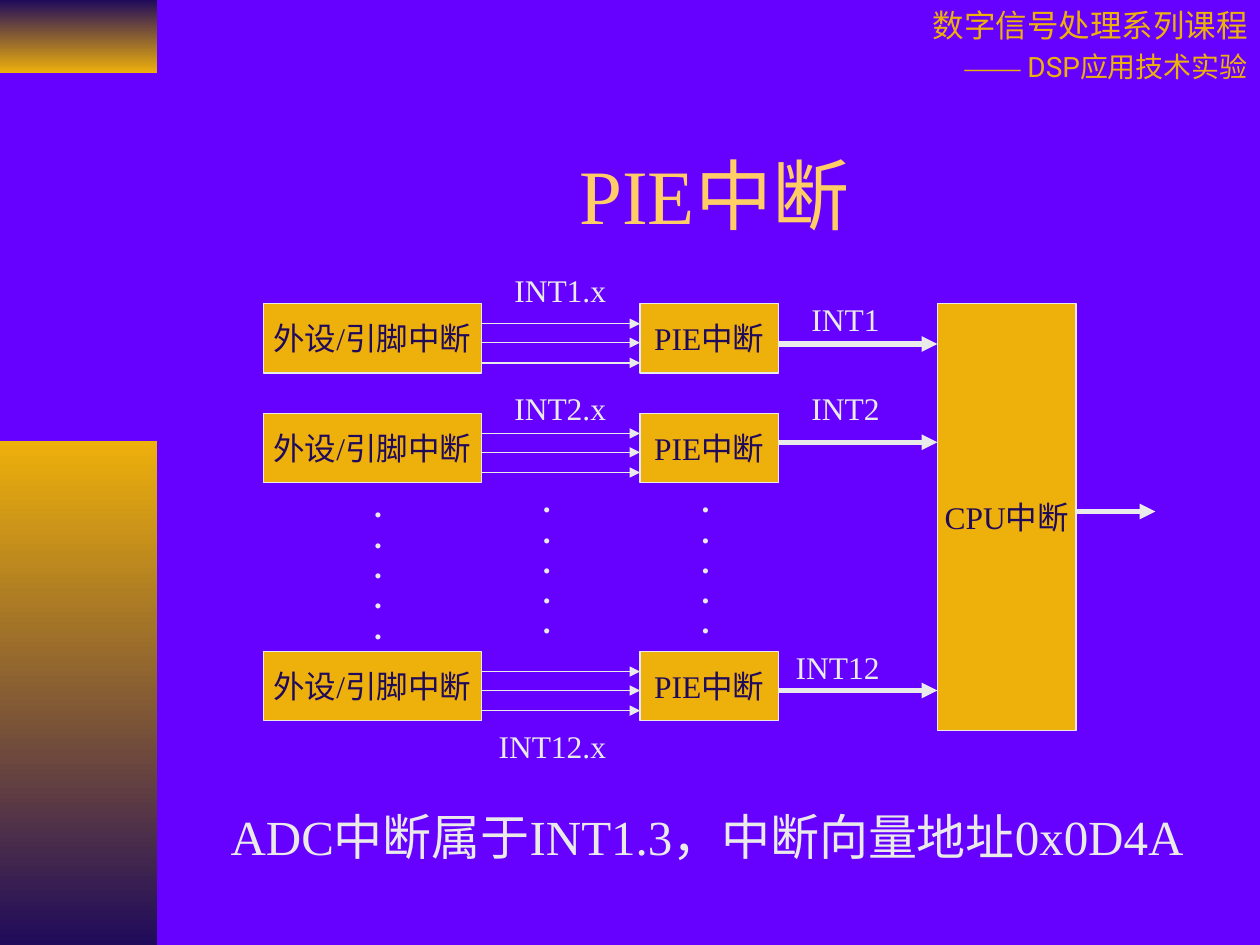
"""Build a slide showing how PIE interrupts reach the CPU."""
from lxml.etree import SubElement
from pptx import Presentation
from pptx.dml.color import RGBColor
from pptx.enum.shapes import MSO_CONNECTOR, MSO_SHAPE
from pptx.enum.text import MSO_ANCHOR, MSO_AUTO_SIZE, PP_ALIGN
from pptx.oxml.ns import qn
from pptx.util import Inches, Pt

COLORS = {"back": "6600FF", "gold": "EEB00B", "navy": "200B5B",
          "light": "EAEAEA", "title": "FFCC66"}
LATIN, HAN, SANS = "Times New Roman", "Noto Sans CJK SC", "Roboto"

BARS = [(0, 0.58, "navy", "gold"), (3.5, 4, "gold", "navy")]
HEADER = [
    [("数字信号处理系列课程", HAN, 18)],
    [("—— ", LATIN, 16), ("DSP", SANS, 16), ("应用技术实验", HAN, 16)],
]
TITLE = "PIE中断"
SOURCE, PIE, CPU = "外设/引脚中断", "PIE中断", "CPU中断"
NOTE = "ADC中断属于INT1.3，中断向量地址0x0D4A"
ROWS = [
    {"top": 2.41, "out": 2.73, "label": ("INT1", 6.34, 2.33, 0.74),
     "group": ("INT1.x", 3.98, 2.1, 0.93)},
    {"top": 3.28, "out": 3.51, "label": ("INT2", 6.34, 3.04, 0.74),
     "group": ("INT2.x", 3.98, 3.04, 0.93)},
    {"top": 5.17, "out": 5.48, "label": ("INT12", 6.21, 5.09, 0.87),
     "group": ("INT12.x", 3.85, 5.72, 1.06)},
]
DOTS = [(2.87, 3.87), (4.21, 3.83), (5.47, 3.83)]
TAPS = (0.16, 0.31, 0.47)
SRC_X, SRC_W = 2.09, 1.73
PIE_X, CPU_X, BOX_W, BOX_H = 5.08, 7.44, 1.1, 0.55


def color(name):
    return RGBColor.from_string(COLORS[name])


def write(shape, text, size=18, ink="light", align=PP_ALIGN.RIGHT, bold=None,
          font=LATIN, anchor=MSO_ANCHOR.TOP, wrap=False, grow=True,
          spacing=None, before=None):
    """Fill a shape with a string or with lists of (text, font, size) runs."""
    frame = shape.text_frame
    frame.word_wrap = wrap
    frame.vertical_anchor = anchor
    frame.auto_size = MSO_AUTO_SIZE.SHAPE_TO_FIT_TEXT if grow else MSO_AUTO_SIZE.NONE
    lines = text
    if isinstance(text, str):
        lines = [[(line, font, size)] for line in text.split("\n")]
    for i, line in enumerate(lines):
        para = frame.paragraphs[0] if i == 0 else frame.add_paragraph()
        para.alignment = align
        if spacing:
            para.line_spacing = spacing
        if before:
            para.space_before = Pt(before * line[0][2])
        for words, face, points in line:
            run = para.add_run()
            run.text = words
            run.font.name = face
            run.font.size = Pt(points)
            run.font.bold = bold
            run.font.color.rgb = color(ink)
            SubElement(run.font._element, qn("a:ea"), typeface=HAN)


def label(slide, text, x, y, w, h=0.4, **style):
    area = slide.shapes.add_textbox(Inches(x), Inches(y), Inches(w), Inches(h))
    write(area, text, **style)


def rect(slide, x, y, w, h):
    shape = slide.shapes.add_shape(
        MSO_SHAPE.RECTANGLE, Inches(x), Inches(y), Inches(w), Inches(h))
    shape.shadow.inherit = False
    return shape


def bar(slide, y, h, start, end):
    shape = rect(slide, 0, y, 1.25, h)
    shape.line.fill.background()
    shape.fill.gradient()
    shape.fill.gradient_angle = 270
    for stop, name, place in zip(shape.fill.gradient_stops, (start, end), (0, 1)):
        stop.color.rgb = color(name)
        stop.position = place


def box(slide, text, x, y, w, h=BOX_H):
    shape = rect(slide, x, y, w, h)
    shape.fill.solid()
    shape.fill.fore_color.rgb = color("gold")
    shape.line.color.rgb = color("light")
    shape.line.width = Pt(0.75)
    write(shape, text, ink="navy", align=PP_ALIGN.CENTER,
          anchor=MSO_ANCHOR.MIDDLE, grow=False)


def arrow(slide, start, end, y, width):
    link = slide.shapes.add_connector(
        MSO_CONNECTOR.STRAIGHT, Inches(start), Inches(y), Inches(end), Inches(y))
    link.line.color.rgb = color("light")
    link.line.width = Pt(width)
    SubElement(link.line._get_or_add_ln(), qn("a:tailEnd"), type="triangle")
    SubElement(link._element.spPr, qn("a:effectLst"))


def main():
    deck = Presentation()
    deck.slide_width, deck.slide_height = Inches(10), Inches(7.5)
    slide = deck.slides.add_slide(deck.slide_layouts[6])
    slide.background.fill.solid()
    slide.background.fill.fore_color.rgb = color("back")

    for spec_bar in BARS:
        bar(slide, *spec_bar)
    label(slide, HEADER, 6.4, 0, 3.6, 0.72, ink="gold", wrap=True, before=0.2)
    label(slide, TITLE, 1.42, 0.91, 8.5, 1.25, size=44, ink="title", wrap=True,
          align=PP_ALIGN.CENTER, anchor=MSO_ANCHOR.MIDDLE, grow=False)

    box(slide, CPU, CPU_X, ROWS[0]["top"], BOX_W, 3.39)
    for row in ROWS:
        box(slide, SOURCE, SRC_X, row["top"], SRC_W)
        box(slide, PIE, PIE_X, row["top"], BOX_W)
        for tap in TAPS:
            arrow(slide, SRC_X + SRC_W, PIE_X, row["top"] + tap, 0.75)
        arrow(slide, PIE_X + BOX_W, CPU_X, row["out"], 3)
        label(slide, *row["label"])
        label(slide, *row["group"])
    arrow(slide, CPU_X + BOX_W, 9.17, 4.06, 3)

    for x, y in DOTS:
        label(slide, "\n".join("." * 5), x, y, 0.26, 1.3, bold=True, spacing=0.8)
    label(slide, NOTE, 1.71, 6.35, 7.78, 0.57, size=28, wrap=True)
    deck.save("out.pptx")


if __name__ == "__main__":
    main()
